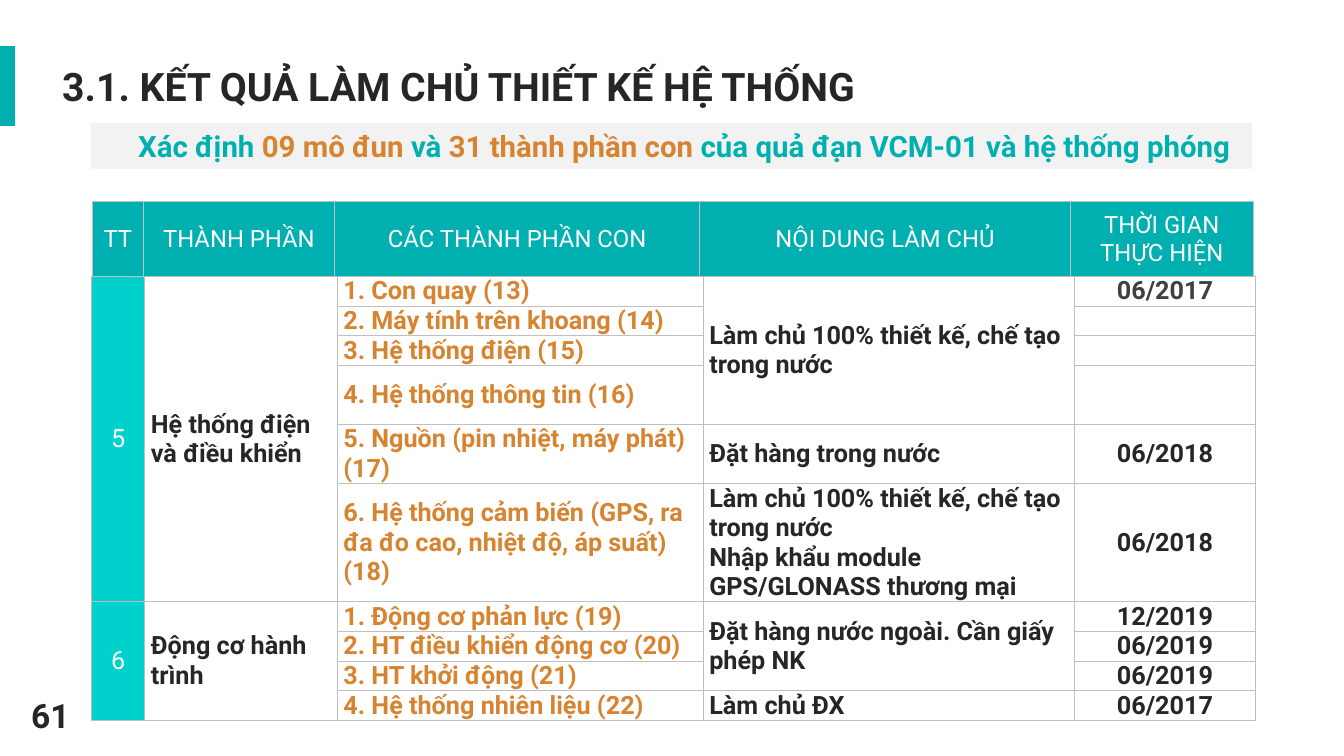
from lxml import etree
from pptx import Presentation
from pptx.dml.color import RGBColor
from pptx.enum.shapes import MSO_SHAPE as Shape
from pptx.enum.text import MSO_ANCHOR as Anchor, PP_ALIGN as Align
from pptx.oxml.ns import qn
from pptx.util import Pt

TEAL = RGBColor(0x00, 0xB0, 0xB0)
AQUA = RGBColor(0x00, 0xD1, 0xCC)
ORANGE = RGBColor(0xD7, 0x84, 0x30)
INK = RGBColor(0x26, 0x26, 0x26)
GRAY = RGBColor(0x40, 0x40, 0x40)
PALE = RGBColor(0xF2, 0xF2, 0xF2)
WHITE = RGBColor(0xFF, 0xFF, 0xFF)
BORDER = RGBColor(0xBF, 0xBF, 0xBF)

LINE = 21.1
HEADINGS = ["TT", "THÀNH PHẦN", "CÁC THÀNH PHẦN CON", "NỘI DUNG LÀM CHỦ", "THỜI GIAN THỰC HIỆN"]
HEADING_WIDTHS = [36, 137, 260.6, 265, 130.3]
MODULE_WIDTHS = [38, 137.5, 261.4, 265, 129.6]
MODULE_LINES = [1, 1, 1, 2, 2, 4, 1, 1, 1, 1]
MODULES = [
    ("5", "Hệ thống điện và điều khiển", [
        ("1. Con quay (13)", "Làm chủ 100% thiết kế, chế tạo trong nước", 4, "06/2017"),
        ("2. Máy tính trên khoang (14)", None, 0, ""),
        ("3. Hệ thống điện (15)", None, 0, ""),
        ("4. Hệ thống thông tin (16)", None, 0, ""),
        ("5. Nguồn (pin nhiệt, máy phát) (17)", "Đặt hàng trong nước", 1, "06/2018"),
        ("6. Hệ thống cảm biến (GPS, ra đa đo cao, nhiệt độ, áp suất) (18)",
         "Làm chủ 100% thiết kế, chế tạo trong nước\nNhập khẩu module GPS/GLONASS thương mại", 1, "06/2018"),
    ]),
    ("6", "Động cơ hành trình", [
        ("1. Động cơ phản lực (19)", "Đặt hàng nước ngoài. Cần giấy phép NK", 3, "12/2019"),
        ("2. HT điều khiển động cơ (20)", None, 0, "06/2019"),
        ("3. HT khởi động (21)", None, 0, "06/2019"),
        ("4. Hệ thống nhiên liệu (22)", "Làm chủ ĐX", 1, "06/2017"),
    ]),
]


def write(frame, text, size=18, color=INK, bold=True, align=Align.LEFT):
    lines = [[(line, color)] for line in text.split("\n")] if isinstance(text, str) else [text]
    for index, line in enumerate(lines):
        paragraph = frame.add_paragraph() if index else frame.paragraphs[0]
        paragraph.alignment = align
        for words, tint in line:
            run = paragraph.add_run()
            run.text = words
            run.font.name = "Roboto"
            run.font.size = Pt(size)
            run.font.bold = bold
            run.font.color.rgb = tint


def add_label(slide, box, text, **style):
    frame = slide.shapes.add_textbox(*map(Pt, box)).text_frame
    frame.word_wrap = True
    write(frame, text, **style)


def add_band(slide, box, color):
    band = slide.shapes.add_shape(Shape.RECTANGLE, *map(Pt, box))
    band.shadow.inherit = False
    band.fill.solid()
    band.fill.fore_color.rgb = color
    band.line.fill.background()
    return band


def add_grid(slide, left, top, widths, heights, fill, inset):
    grid = slide.shapes.add_table(len(heights), len(widths), Pt(left), Pt(top),
                                  Pt(sum(widths)), Pt(sum(heights))).table
    grid.first_row = grid.horz_banding = False
    for column, width in zip(grid.columns, widths):
        column.width = Pt(width)
    for row, height in zip(grid.rows, heights):
        row.height = Pt(height)
    for cell in grid.iter_cells():
        cell.margin_left = cell.margin_right = Pt(inset)
        cell.margin_top = cell.margin_bottom = 0
        cell.vertical_anchor = Anchor.MIDDLE
        properties = cell._tc.get_or_add_tcPr()
        for side in ("a:lnL", "a:lnR", "a:lnT", "a:lnB"):
            edge = etree.SubElement(properties, qn(side), w=str(Pt(0.75)))
            paint = etree.SubElement(edge, qn("a:solidFill"))
            etree.SubElement(paint, qn("a:srgbClr"), val=str(BORDER))
        cell.fill.solid()
        cell.fill.fore_color.rgb = fill
    return grid


def add_title(slide, left, top):
    add_band(slide, (left, top, 10.6, 57), TEAL)
    add_label(slide, (left + 37.4, top + 8, 814, 41),
              "3.1. KẾT QUẢ LÀM CHỦ THIẾT KẾ HỆ THỐNG", size=28)


def add_summary(slide, box):
    frame = add_band(slide, box, PALE).text_frame
    frame.word_wrap = True
    frame.vertical_anchor = Anchor.MIDDLE
    frame.paragraphs[0]._p.get_or_add_pPr().set("marL", str(Pt(18)))
    write(frame, [("Xác định ", TEAL), ("09 mô đun ", ORANGE), ("và ", TEAL),
                  ("31 thành phần con ", ORANGE),
                  ("của quả đạn VCM-01 và hệ thống phóng", TEAL)],
          size=21, align=Align.CENTER)


def add_headings(slide, left, top):
    grid = add_grid(slide, left, top, HEADING_WIDTHS, [53.3], TEAL, 5.76)
    for cell, heading in zip(grid.iter_cells(), HEADINGS):
        write(cell.text_frame, heading, size=17, color=WHITE, bold=False, align=Align.CENTER)


def add_modules(slide, left, top):
    heights = [lines * LINE for lines in MODULE_LINES]
    grid = add_grid(slide, left, top, MODULE_WIDTHS, heights, WHITE, 4.32)
    row = 0
    for number, module, parts in MODULES:
        last = row + len(parts) - 1
        for column in (0, 1):
            grid.cell(row, column).merge(grid.cell(last, column))
        grid.cell(row, 0).fill.fore_color.rgb = AQUA
        write(grid.cell(row, 0).text_frame, number, color=WHITE, bold=False, align=Align.CENTER)
        write(grid.cell(row, 1).text_frame, module)
        for part, mastery, span, date in parts:
            write(grid.cell(row, 2).text_frame, part, color=ORANGE)
            if span > 1:
                grid.cell(row, 3).merge(grid.cell(row + span - 1, 3))
            if mastery:
                write(grid.cell(row, 3).text_frame, mastery)
            write(grid.cell(row, 4).text_frame, date, color=INK if row else GRAY, align=Align.CENTER)
            row += 1


def main():
    deck = Presentation()
    deck.slide_width, deck.slide_height = Pt(960), Pt(540)
    slide = deck.slides.add_slide(deck.slide_layouts[6])
    add_modules(slide, 65.5, 197.5)
    add_title(slide, 0, 33)
    add_summary(slide, (65, 88, 829.4, 32.4))
    add_headings(slide, 66.2, 144)
    add_label(slide, (10.8, 492.5, 50.4, 36), "61", size=24, align=Align.CENTER)
    deck.save("out.pptx")


if __name__ == "__main__":
    main()
